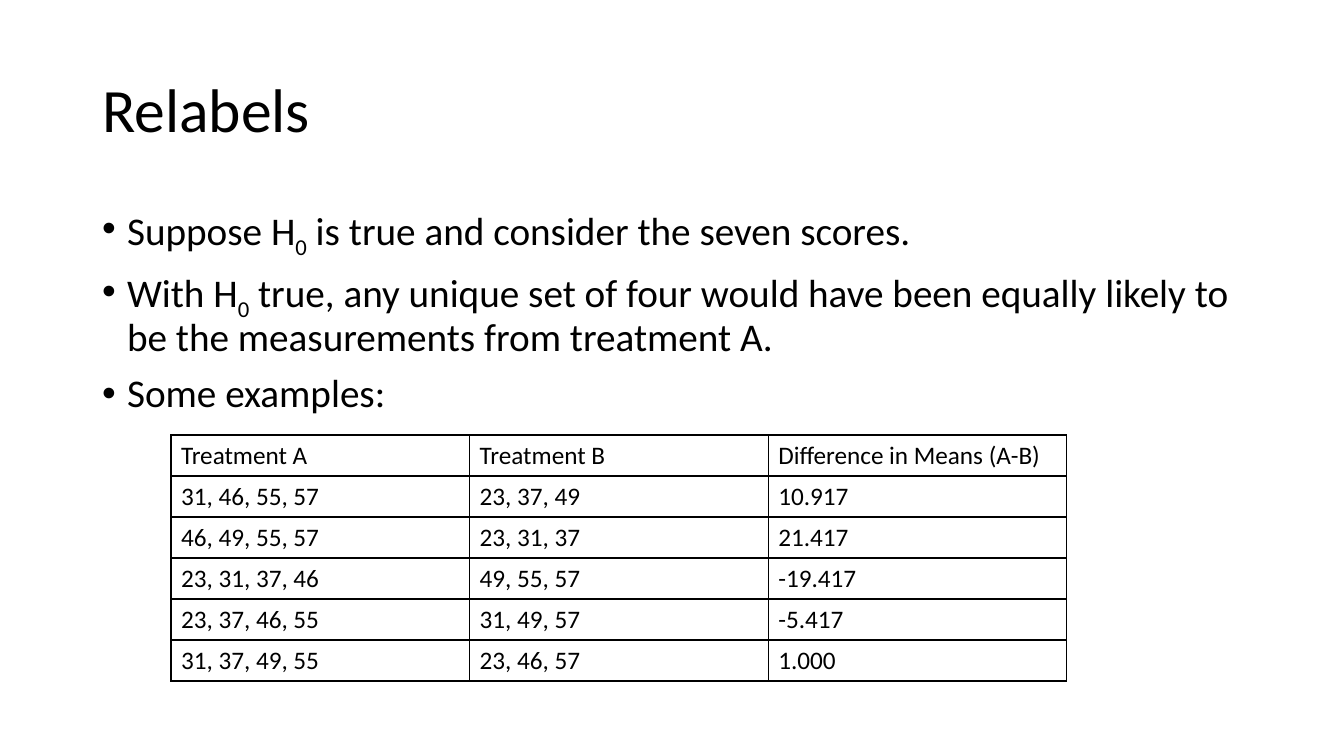
from dataclasses import dataclass

from lxml import etree
from pptx import Presentation
from pptx.dml.color import RGBColor
from pptx.enum import text
from pptx.oxml import ns
from pptx.util import Emu, Pt

EMU_PER_PIXEL = 914400 / 100.8


@dataclass(frozen=True)
class Theme:
    font: str = "Calibri"
    ink: str = "000000"
    paper: str = "FFFFFF"
    title_size: int = 44
    body_size: int = 28
    table_size: int = 18
    border_width: int = 1
    line_spacing: float = 0.9
    space_before: int = 10


@dataclass(frozen=True)
class Box:
    left: int
    top: int
    width: int
    height: int


@dataclass(frozen=True)
class TextRun:
    words: str
    subscript: bool = False


@dataclass(frozen=True)
class Relabel:
    treatment_a: str
    treatment_b: str
    difference: str


THEME = Theme()
SLIDE_BOX = Box(0, 0, 1344, 756)
TITLE_BOX = Box(92, 40, 1159, 146)
BODY_BOX = Box(92, 202, 1159, 480)
TABLE_BOX = Box(171, 435, 896, 246)
BULLET_INDENT = 25

NULL_HYPOTHESIS = (TextRun("H"), TextRun("0", subscript=True))
BULLETS = [
    (TextRun("Suppose "), *NULL_HYPOTHESIS,
     TextRun(" is true and consider the seven scores.")),
    (TextRun("With "), *NULL_HYPOTHESIS,
     TextRun(" true, any unique set of four would have been equally likely to "
             "be the measurements from treatment A.")),
    (TextRun("Some examples:"),),
]
RELABELS = [
    Relabel("Treatment A", "Treatment B", "Difference in Means (A-B)"),
    Relabel("31, 46, 55, 57", "23, 37, 49", "10.917"),
    Relabel("46, 49, 55, 57", "23, 31, 37", "21.417"),
    Relabel("23, 31, 37, 46", "49, 55, 57", "-19.417"),
    Relabel("23, 37, 46, 55", "31, 49, 57", "-5.417"),
    Relabel("31, 37, 49, 55", "23, 46, 57", "1.000"),
]


def px(pixels: float) -> Emu:
    return Emu(round(pixels * EMU_PER_PIXEL))


def place(shape, box: Box) -> None:
    shape.left, shape.top = px(box.left), px(box.top)
    shape.width, shape.height = px(box.width), px(box.height)


def add_run(paragraph, text_run: TextRun, size: int) -> None:
    run = paragraph.add_run()
    run.text = text_run.words
    run.font.name = THEME.font
    run.font.size = Pt(size)
    run.font.color.rgb = RGBColor.from_string(THEME.ink)
    if text_run.subscript:
        run.font._element.set("baseline", "-25000")


def add_bullet(paragraph) -> None:
    properties = paragraph._p.get_or_add_pPr()
    properties.set("marL", str(px(BULLET_INDENT)))
    properties.set("indent", str(-px(BULLET_INDENT)))
    etree.SubElement(properties, ns.qn("a:buFont"), typeface="Arial")
    etree.SubElement(properties, ns.qn("a:buChar"), char="•")


def add_borders(cell) -> None:
    properties = cell._tc.get_or_add_tcPr()
    for position, side in enumerate(("a:lnL", "a:lnR", "a:lnT", "a:lnB")):
        line = etree.Element(ns.qn(side), w=str(Pt(THEME.border_width)))
        fill = etree.SubElement(line, ns.qn("a:solidFill"))
        etree.SubElement(fill, ns.qn("a:srgbClr"), val=THEME.ink)
        properties.insert(position, line)


def fill_title(title) -> None:
    place(title, TITLE_BOX)
    frame = title.text_frame
    frame.auto_size = text.MSO_AUTO_SIZE.NONE
    frame.vertical_anchor = text.MSO_ANCHOR.MIDDLE
    paragraph = frame.paragraphs[0]
    paragraph.alignment = text.PP_ALIGN.LEFT
    paragraph.line_spacing = THEME.line_spacing
    add_run(paragraph, TextRun("Relabels"), THEME.title_size)


def fill_body(body) -> None:
    place(body, BODY_BOX)
    frame = body.text_frame
    frame.auto_size = text.MSO_AUTO_SIZE.NONE
    for index, text_runs in enumerate(BULLETS):
        paragraph = frame.add_paragraph() if index else frame.paragraphs[0]
        paragraph.line_spacing = THEME.line_spacing
        paragraph.space_before = Pt(THEME.space_before)
        add_bullet(paragraph)
        for text_run in text_runs:
            add_run(paragraph, text_run, THEME.body_size)


def add_relabel_table(slide) -> None:
    box = TABLE_BOX
    table = slide.shapes.add_table(
        len(RELABELS), 3, px(box.left), px(box.top), px(box.width), px(box.height)
    ).table
    table.first_row = table.horz_banding = False
    for row, relabel in zip(table.rows, RELABELS):
        values = (relabel.treatment_a, relabel.treatment_b, relabel.difference)
        for cell, value in zip(row.cells, values):
            cell.fill.background()
            add_borders(cell)
            add_run(cell.text_frame.paragraphs[0], TextRun(value), THEME.table_size)


# Slide and background
presentation = Presentation()
presentation.slide_width = px(SLIDE_BOX.width)
presentation.slide_height = px(SLIDE_BOX.height)
slide = presentation.slides.add_slide(presentation.slide_layouts[1])
slide.background.fill.solid()
slide.background.fill.fore_color.rgb = RGBColor.from_string(THEME.paper)

# Title, bullet list and table of examples
fill_title(slide.shapes.title)
fill_body(slide.placeholders[1])
add_relabel_table(slide)

presentation.save("out.pptx")
